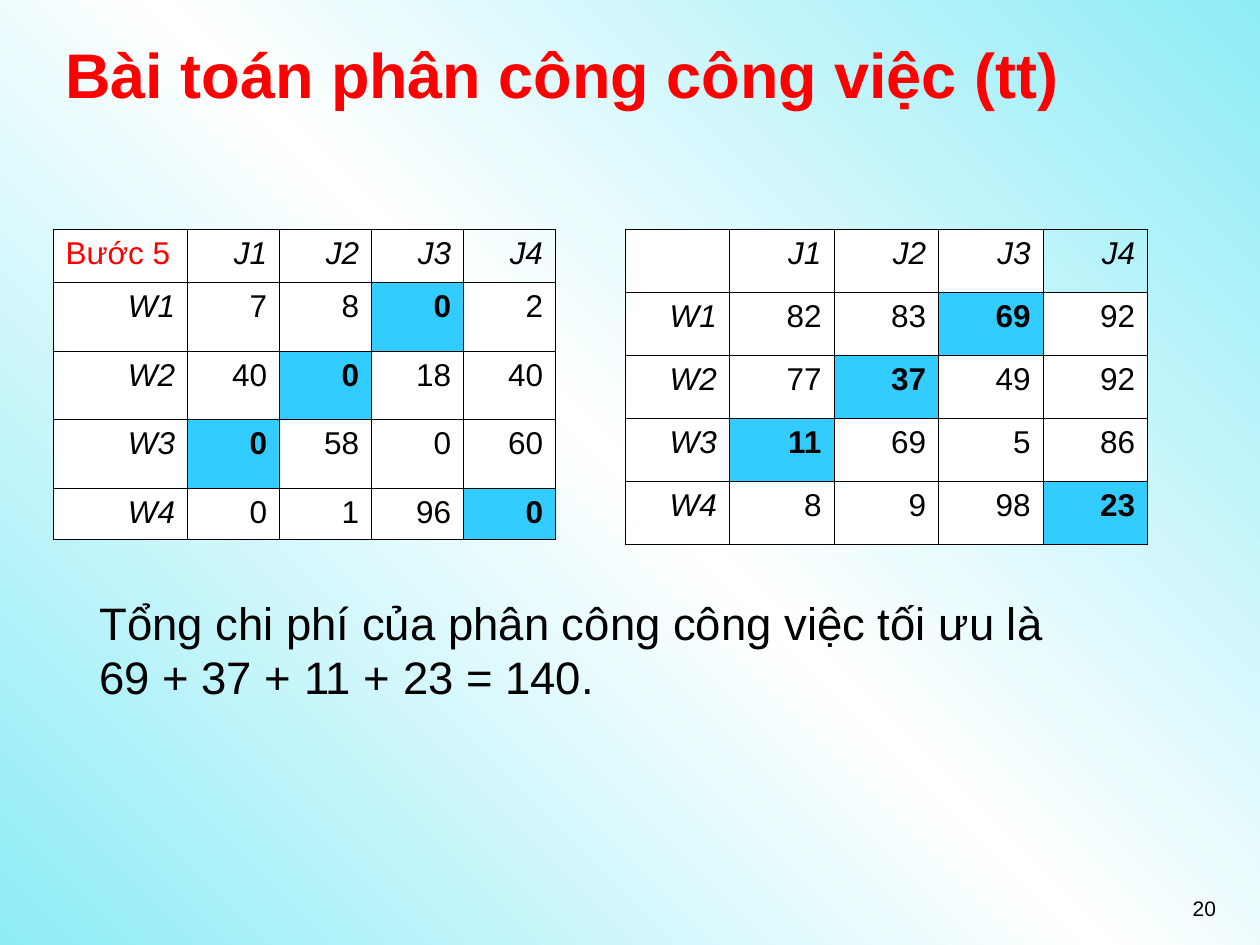
from copy import deepcopy
from lxml import etree
from pptx import Presentation
from pptx.dml.color import RGBColor
from pptx.enum import text
from pptx.oxml import ns
from pptx.util import Inches, Pt

RED = RGBColor(0xFF, 0x00, 0x00)
BLACK = RGBColor(0x00, 0x00, 0x00)
WHITE = RGBColor(0xFF, 0xFF, 0xFF)
BLUE = RGBColor(0x33, 0xCC, 0xFF)
AQUA = RGBColor(0x8E, 0xEC, 0xF6)
JOBS = ["J1", "J2", "J3", "J4"]
PICKS = {(1, 3), (2, 2), (3, 1), (4, 4)}


def style(para, size, color=BLACK, bold=False, italic=False):
    font = para.font
    font.name, font.size = "Arial", Pt(size)
    font.bold, font.italic = bold, italic
    font.color.rgb = color


def backdrop(slide):
    fill = slide.background.fill
    fill.gradient()
    fill.gradient_angle = 45
    stops = slide.element.find(".//" + ns.qn("a:gsLst"))
    stops.append(deepcopy(stops[0]))
    for stop, place, color in zip(fill.gradient_stops, (0, 0.5, 1), (AQUA, WHITE, AQUA)):
        stop.position = place
        stop.color.rgb = color


def label(slide, box, lines, size, color=BLACK, bold=False,
          align=text.PP_ALIGN.LEFT, anchor=text.MSO_ANCHOR.TOP):
    frame = slide.shapes.add_textbox(*map(Inches, box)).text_frame
    frame.word_wrap = True
    frame.vertical_anchor = anchor
    frame.text = "\n".join(lines)
    for para in frame.paragraphs:
        para.alignment = align
        style(para, size, color, bold)


def border(cell):
    props = cell._tc.get_or_add_tcPr()
    for side in ("lnL", "lnR", "lnT", "lnB"):
        line = etree.SubElement(props, ns.qn("a:" + side), w=str(Pt(0.45)))
        fill = etree.SubElement(line, ns.qn("a:solidFill"))
        etree.SubElement(fill, ns.qn("a:srgbClr"), val=str(BLACK))


def matrix(slide, box, widths, heights, corner, costs):
    rows = [[corner] + JOBS]
    rows += [[f"W{n}"] + line for n, line in enumerate(costs, 1)]
    grid = slide.shapes.add_table(5, 5, *map(Inches, box)).table
    grid.first_row = grid.horz_banding = False
    for col, width in zip(grid.columns, widths):
        col.width = Inches(width)
    for row, height in zip(grid.rows, heights):
        row.height = Inches(height)
    for r, line in enumerate(rows):
        for c, value in enumerate(line):
            cell = grid.cell(r, c)
            border(cell)
            if (r, c) == (0, 4):
                cell.fill.background()
            else:
                cell.fill.solid()
                cell.fill.fore_color.rgb = BLUE if (r, c) in PICKS else WHITE
            cell.text = str(value)
            para = cell.text_frame.paragraphs[0]
            first = r == c == 0
            para.alignment = text.PP_ALIGN.LEFT if first else text.PP_ALIGN.RIGHT
            style(para, 18, RED if first else BLACK, (r, c) in PICKS,
                  not first and (r == 0 or c == 0))


def main():
    deck = Presentation()
    deck.slide_width, deck.slide_height = Inches(10), Inches(7.5)
    slide = deck.slides.add_slide(deck.slide_layouts[6])
    backdrop(slide)
    label(slide, (0.42, 0.17, 9.08, 0.83), ["Bài toán phân công công việc (tt)"],
          36, RED, True, anchor=text.MSO_ANCHOR.MIDDLE)
    label(slide, (7.42, 7.06, 2.33, 0.52), ["20"], 12, align=text.PP_ALIGN.RIGHT)
    matrix(slide, (4.96, 1.82, 4.17, 2.51), [0.83] * 5, [0.5] * 5, "",
           [[82, 83, 69, 92], [77, 37, 49, 92], [11, 69, 5, 86], [8, 9, 98, 23]])
    matrix(slide, (0.42, 1.82, 4, 2.45), [1.07] + [0.73] * 4,
           [0.42, 0.55, 0.54, 0.55, 0.4], "Bước 5",
           [[7, 8, 0, 2], [40, 0, 18, 40], [0, 58, 0, 60], [0, 1, 96, 0]])
    label(slide, (0.69, 4.67, 8.83, 0.97),
          ["Tổng chi phí của phân công công việc tối ưu là", "69 + 37 + 11 + 23 = 140."], 26)
    deck.save("out.pptx")


if __name__ == "__main__":
    main()
